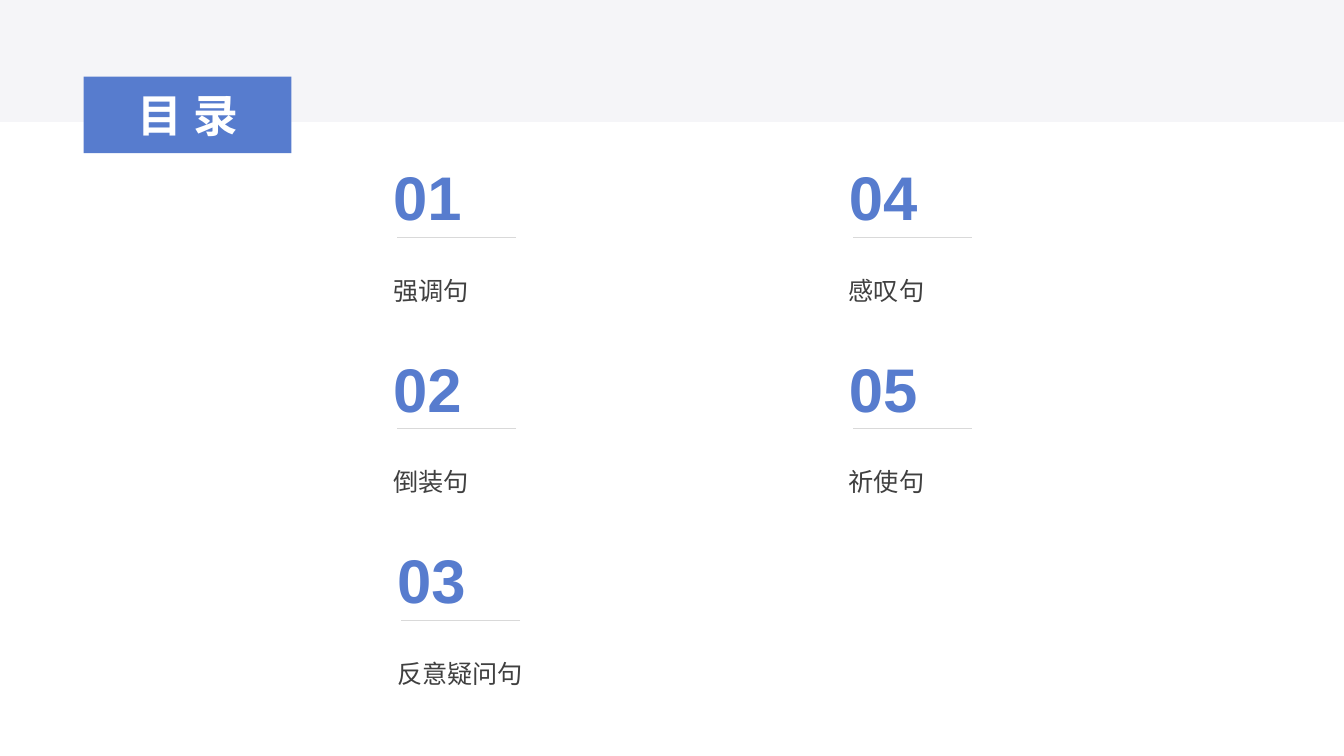
from dataclasses import dataclass

from lxml import etree
from pptx import Presentation
from pptx.dml.color import RGBColor
from pptx.enum.shapes import MSO_CONNECTOR, MSO_SHAPE
from pptx.enum.text import MSO_ANCHOR, MSO_AUTO_SIZE, PP_ALIGN
from pptx.oxml.ns import qn
from pptx.util import Inches, Pt

RECT = MSO_SHAPE.RECTANGLE
LINE = MSO_CONNECTOR.STRAIGHT
MIDDLE = MSO_ANCHOR.MIDDLE
NO_FIT = MSO_AUTO_SIZE.NONE
CENTER, JUSTIFY = PP_ALIGN.CENTER, PP_ALIGN.JUSTIFY

FONT = "Arial"
COLORS = {"band": "F5F5F8", "blue": "577CCE", "text": "404040",
          "rule": "D9D9D9", "white": "FFFFFF"}

# Grid in inches
WIDE, HIGH = 13.33, 7.5
LEFT, TOP = 3.8, 1.53
COL, ROW = 4.52, 1.9


@dataclass
class Topic:
    num: str
    name: str
    col: int
    row: int
    shift: float = 0


TOPICS = [
    Topic("01", "强调句", 0, 0),
    Topic("02", "倒装句", 0, 1),
    Topic("03", "反意疑问句", 0, 2, 0.04),
    Topic("04", "感叹句", 1, 0),
    Topic("05", "祈使句", 1, 1),
]


def color(name: str) -> RGBColor:
    return RGBColor.from_string(COLORS[name])


def add_run(para, text: str, size: int, tint: str, bold: bool = False):
    run = para.add_run()
    run.text = text
    run.font.name = FONT
    run.font.size = Pt(size)
    run.font.bold = bold
    run.font.color.rgb = color(tint)
    return run


def add_box(shapes, x: float, y: float, w: float, h: float):
    frame = shapes.add_textbox(Inches(x), Inches(y), Inches(w), Inches(h)).text_frame
    frame.word_wrap = True
    return frame.paragraphs[0]


def add_band(shapes) -> None:
    band = shapes.add_shape(RECT, 0, 0, Inches(WIDE), Inches(1.21))
    band.shadow.inherit = False
    band.fill.solid()
    band.fill.fore_color.rgb = color("band")
    band.line.fill.background()


def add_topic(shapes, topic: Topic) -> None:
    x = LEFT + topic.col * COL + topic.shift
    y = TOP + topic.row * ROW

    # Number
    add_run(add_box(shapes, x, y, 0.89, 0.84), topic.num, 44, "blue", True)

    # Rule under the number
    level = Inches(y + 0.82)
    rule = shapes.add_connector(LINE, Inches(x + 1.32), level, Inches(x + 0.14), level)
    rule.line.color.rgb = color("rule")
    rule.line.width = Pt(0.5)
    etree.SubElement(rule.element.spPr, qn("a:effectLst"))

    # Name
    para = add_box(shapes, x, y + 1, 3.54, 0.68)
    para.alignment = JUSTIFY
    para.line_spacing = 1.5
    para.space_after = Pt(20)
    add_run(para, topic.name, 18, "text")


def set_title(shapes, text: str) -> None:
    title = shapes.title
    title.left, title.top = Inches(0.83), Inches(0.76)
    title.width, title.height = Inches(2.06), Inches(0.76)
    title.fill.solid()
    title.fill.fore_color.rgb = color("blue")
    frame = title.text_frame
    frame.auto_size = NO_FIT
    frame.word_wrap = True
    frame.vertical_anchor = MIDDLE
    para = frame.paragraphs[0]
    para.alignment = CENTER
    run = add_run(para, text, 32, "white", True)
    run.font.element.set("spc", "800") if hasattr(run.font, "element") else \
        para.runs[0]._r.get_or_add_rPr().set("spc", "800")
    # Bring the title in front of the band
    shapes.element.append(title.element)


def main() -> None:
    deck = Presentation()
    deck.slide_width, deck.slide_height = Inches(WIDE), Inches(HIGH)
    slide = deck.slides.add_slide(deck.slide_layouts.get_by_name("Title Only"))
    add_band(slide.shapes)
    for topic in TOPICS:
        add_topic(slide.shapes, topic)
    set_title(slide.shapes, "目录")
    deck.save("out.pptx")


if __name__ == "__main__":
    main()
